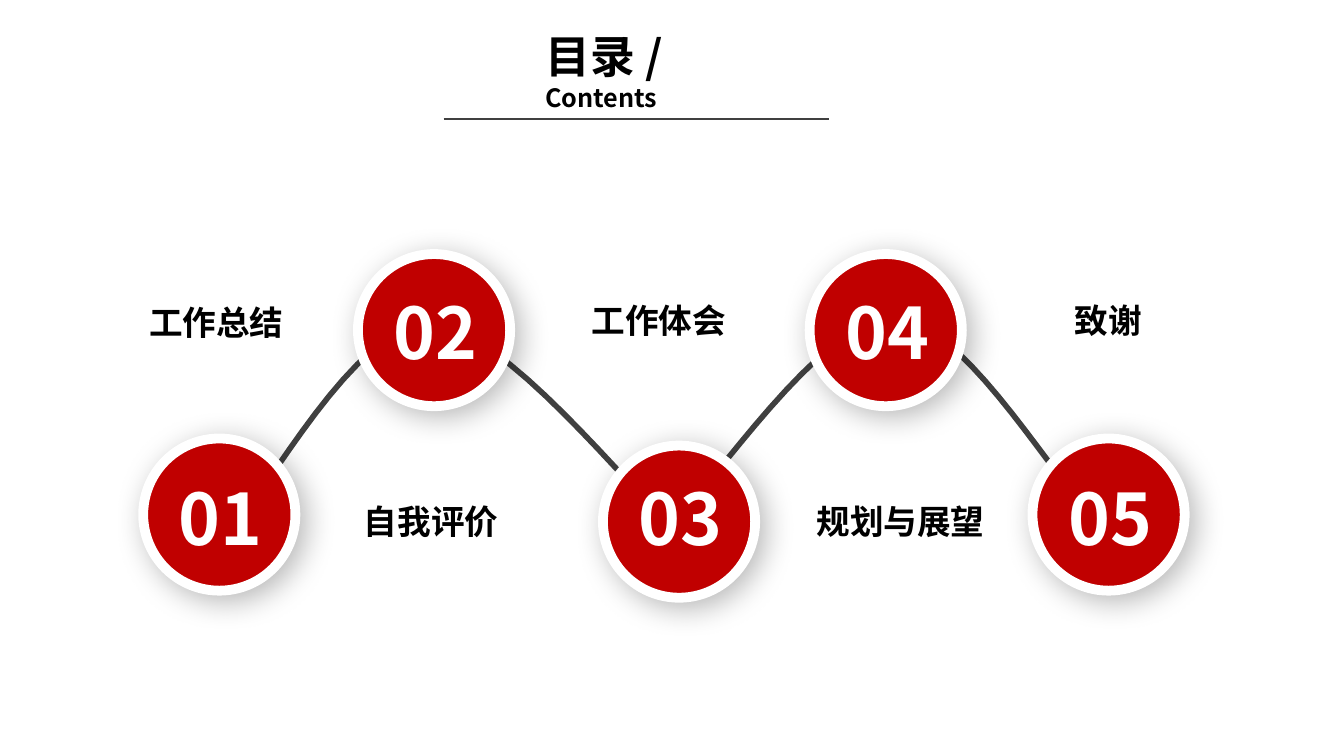
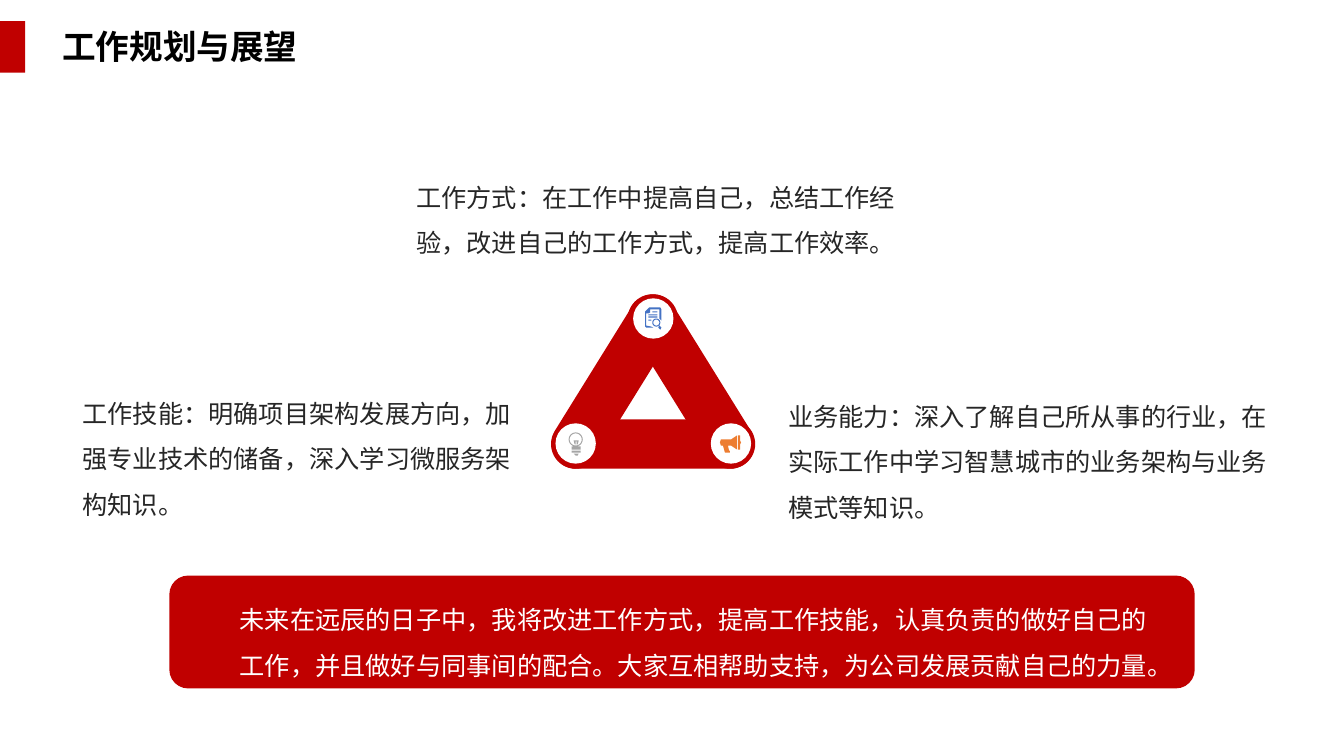
from math import cos, pi, sin

from lxml import etree
from pptx import Presentation
from pptx.dml.color import RGBColor
from pptx.enum.shapes import MSO_CONNECTOR, MSO_SHAPE
from pptx.enum.text import MSO_ANCHOR, MSO_AUTO_SIZE, PP_ALIGN
from pptx.oxml import parse_xml
from pptx.oxml.ns import nsdecls, qn
from pptx.util import Inches, Pt

OVAL, RECTANGLE, ROUNDED = MSO_SHAPE.OVAL, MSO_SHAPE.RECTANGLE, MSO_SHAPE.ROUNDED_RECTANGLE
STRAIGHT = MSO_CONNECTOR.STRAIGHT
GROW = MSO_AUTO_SIZE.SHAPE_TO_FIT_TEXT
MIDDLE, CENTER = MSO_ANCHOR.MIDDLE, PP_ALIGN.CENTER

FONT = "Noto Sans CJK SC"
COLORS = {
    "red": "C00000", "white": "FFFFFF", "black": "000000", "body": "262626",
    "path": "404040", "blue": "4472C4", "gray": "A5A5A5", "orange": "ED7D31",
}
HEADING = {"size": Pt(24), "bold": True}
BODY = {"size": Pt(18)}
NUMBER = {"size": Pt(50.7), "bold": True}
BODY_PARA = {"line_spacing": 1.5, "space_before": Pt(6), "space_after": Pt(6)}

STATION_SIZE = 1.51
STATIONS = [
    ("02", 3.55, 2.52, 2.81),
    ("03", 5.98, 4.42, 4.66),
    ("04", 8.03, 2.52, 2.81),
    ("05", 10.24, 4.35, 4.66),
    ("01", 1.42, 4.35, 4.66),
]
LABELS = [
    ("工作总结", 1.38, 2.95, 1.55),
    ("自我评价", 3.51, 4.92, 1.55),
    ("工作体会", 5.77, 2.93, 1.55),
    ("规划与展望", 8, 4.92, 1.88),
    ("致谢", 10.56, 2.93, 0.88),
]
WAVE_START = (2.31, 5.24)
WAVE_CURVES = [
    ((2.63, 4.91), (3.53, 3.21), (4.25, 3.21)),
    ((4.98, 3.21), (6.28, 4.91), (6.69, 5.24)),
    ((7.09, 5.57), (6.33, 5.53), (6.69, 5.18)),
    ((7.05, 4.83), (8.15, 3.18), (8.83, 3.15)),
    ((9.51, 3.13), (10.37, 4.64), (10.77, 5.03)),
]
PLANS = [
    ("工作方式：在工作中提高自己，总结工作经验，改进自己的工作方式，提高工作效率。",
     (4.03, 1.61, 5.06, 0.96)),
    ("工作技能：明确项目架构发展方向，加强专业技术的储备，深入学习微服务架构知识。",
     (0.72, 3.75, 4.61, 1.41)),
    ("业务能力：深入了解自己所从事的行业，在实际工作中学习智慧城市的业务架构与业务模式等知识。",
     (7.72, 3.78, 5.06, 1.41)),
]
CLOSING = ("未来在远辰的日子中，我将改进工作方式，提高工作技能，认真负责的做好自己的工作，"
           "并且做好与同事间的配合。大家互相帮助支持，为公司发展贡献自己的力量。")


def color(name):
    return RGBColor.from_string(COLORS[name])


def lengths(values):
    return [Inches(value) for value in values]


def set_all(target, values):
    for name, value in values.items():
        setattr(target, name, value)


def add_span(para, text, tone, style):
    span = para.add_run()
    span.text = text
    set_all(span.font, {"name": FONT, **style})
    span.font.color.rgb = color(tone)
    east_asian = etree.SubElement(span.font._element, qn("a:ea"))
    east_asian.set("typeface", FONT)


def add_text(shapes, box, text, tone, style, para_style=None, wrap=True):
    frame = shapes.add_textbox(*lengths(box)).text_frame
    set_all(frame, {"word_wrap": wrap, "auto_size": GROW})
    para = frame.paragraphs[0]
    set_all(para, para_style or {})
    add_span(para, text, tone, style)


def paint(shape, tone):
    shape.shadow.inherit = False
    shape.fill.solid()
    shape.fill.fore_color.rgb = color(tone)
    shape.line.fill.background()


def add_block(shapes, kind, box, tone):
    shape = shapes.add_shape(kind, *lengths(box))
    paint(shape, tone)
    return shape


def rectangle(left, top, right, bottom):
    return [(left, top), (right, top), (right, bottom), (left, bottom)]


def circle(x, y, radius, steps=24):
    angles = [2 * pi * step / steps for step in range(steps)]
    return [(x + radius * cos(angle), y + radius * sin(angle)) for angle in angles]


def curve_points(start, curves, steps=16):
    points = [start]
    for first, second, end in curves:
        for step in range(1, steps + 1):
            t = step / steps
            weights = ((1 - t) ** 3, 3 * t * (1 - t) ** 2, 3 * t * t * (1 - t), t ** 3)
            anchors = (start, first, second, end)
            points.append(tuple(
                sum(weight * anchor[axis] for weight, anchor in zip(weights, anchors))
                for axis in (0, 1)))
        start = end
    return points


def add_outline(shapes, contours, left=0, top=0, close=True):
    builder = None
    for contour in contours:
        points = [lengths((left + x, top + y)) for x, y in contour]
        if builder is None:
            builder = shapes.build_freeform(*points[0])
        else:
            builder.move_to(*points[0])
        builder.add_line_segments(points[1:], close=close)
    return builder.convert_to_shape()


ICONS = {
    "document": [
        [(0.16, 0.09), (0.27, 0.09), (0.28, 0.11), (0.28, 0.22), (0.26, 0.2), (0.26, 0.11),
         (0.17, 0.11), (0.17, 0.14), (0.15, 0.15), (0.13, 0.15), (0.13, 0.27), (0.18, 0.28),
         (0.2, 0.29), (0.13, 0.29), (0.12, 0.28), (0.12, 0.13)],
        rectangle(0.19, 0.13, 0.24, 0.14),
        rectangle(0.15, 0.16, 0.24, 0.17),
        rectangle(0.15, 0.18, 0.24, 0.19),
        rectangle(0.15, 0.21, 0.18, 0.22),
        circle(0.23, 0.24, 0.04),
        circle(0.23, 0.24, 0.03),
        [(0.25, 0.29), (0.27, 0.31), (0.28, 0.29), (0.26, 0.27)],
    ],
    "bulb": [
        circle(0.2, 0.16, 0.07),
        circle(0.2, 0.16, 0.06),
        [(0.18, 0.17), (0.23, 0.17), (0.22, 0.21), (0.19, 0.21)],
        rectangle(0.2, 0.18, 0.21, 0.21),
        rectangle(0.16, 0.23, 0.25, 0.26),
        rectangle(0.16, 0.27, 0.25, 0.29),
        [(0.18, 0.3), (0.23, 0.3), (0.22, 0.32), (0.2, 0.32)],
    ],
    "horn": [
        [(0.1, 0.16), (0.2, 0.16), (0.26, 0.12), (0.26, 0.26), (0.2, 0.22), (0.17, 0.22),
         (0.18, 0.27), (0.19, 0.27), (0.19, 0.29), (0.14, 0.29), (0.12, 0.22), (0.1, 0.22),
         (0.09, 0.19)],
        [(0.27, 0.12), (0.29, 0.12), (0.29, 0.17), (0.3, 0.19), (0.29, 0.21), (0.29, 0.26),
         (0.27, 0.26)],
    ],
}
BADGES = [
    ("document", "blue", 0.81, 0),
    ("bulb", "gray", 0.04, 1.24),
    ("horn", "orange", 1.58, 1.24),
]
BARS = [
    (0, 1.2, 2.02, 0),
    (0.41, 0.58, 1.95, 58.2),
    (-0.35, 0.58, 1.95, 301.8),
]


def add_soft_shadow(shape):
    effects = shape._element.spPr.find(qn("a:effectLst"))
    effects.append(parse_xml(
        f'<a:outerShdw {nsdecls("a")} blurRad="{Pt(22)}" dist="{Pt(6)}" dir="2700000" '
        f'algn="tl" rotWithShape="0"><a:srgbClr val="{COLORS["black"]}">'
        '<a:alpha val="28000"/></a:srgbClr></a:outerShdw>'))


def add_station(page, number, left, top, number_top):
    shapes = page.shapes.add_group_shape().shapes
    disc = add_block(shapes, OVAL, (left, top, STATION_SIZE, STATION_SIZE), "red")
    disc.line.color.rgb = color("white")
    disc.line.width = Pt(7)
    add_soft_shadow(disc)
    add_text(shapes, (left + 0.2, number_top, 1.14, 0.95), number, "white", NUMBER,
             {"alignment": CENTER})


def add_wave(page):
    wave = add_outline(page.shapes, [curve_points(WAVE_START, WAVE_CURVES)], close=False)
    wave.shadow.inherit = False
    wave.fill.background()
    wave.line.color.rgb = color("path")
    wave.line.width = Pt(4)


def add_contents_title(page, left, top):
    frame = page.shapes.add_textbox(*lengths((left, top, 2.47, 0.54))).text_frame
    set_all(frame, {"word_wrap": True, "vertical_anchor": MIDDLE})
    para = frame.paragraphs[0]
    add_span(para, "目录 /", "black", {"size": Pt(32), "bold": True})
    para.add_line_break()
    add_span(para, "Contents", "black", {"size": Pt(18), "bold": True})
    rule = page.shapes.add_connector(
        STRAIGHT, *lengths((left - 0.91, top + 0.75, left + 2.91, top + 0.75)))
    rule.line.color.rgb = color("path")
    rule.line.width = Pt(1)
    etree.SubElement(rule._element.spPr, qn("a:effectLst"))


def add_page_title(page, text, top):
    add_block(page.shapes, RECTANGLE, (0, top, 0.25, 0.51), "red")
    add_text(page.shapes, (0.52, top, 2.56, 0.5), text, "black", HEADING, wrap=False)


def add_closing(page, left, top):
    shapes = page.shapes.add_group_shape().shapes
    add_block(shapes, ROUNDED, (left, top, 10.17, 1.12), "red")
    add_text(shapes, (left + 0.6, top + 0.09, 9.2, 0.96), CLOSING, "white", BODY, BODY_PARA)


def add_triangle(page, left, top):
    shapes = page.shapes.add_group_shape().shapes
    for x, y, width, angle in BARS:
        bar = add_block(shapes, ROUNDED, (left + x, top + y, width, 0.49), "red")
        bar.adjustments[0] = 0.5
        bar.rotation = angle
    for icon, tone, x, y in BADGES:
        add_block(shapes, OVAL, (left + x, top + y, 0.4, 0.4), "white")
        paint(add_outline(shapes, ICONS[icon], left + x, top + y), tone)


def build_contents(page):
    add_wave(page)
    for station in STATIONS:
        add_station(page, *station)
    add_contents_title(page, 5.31, 0.43)
    for text, left, top, width in LABELS:
        add_text(page.shapes, (left, top, width, 0.5), text, "black", HEADING, wrap=False)


def build_plan(page):
    add_page_title(page, "工作规划与展望", 0.21)
    for text, box in PLANS:
        add_text(page.shapes, box, text, "body", BODY, BODY_PARA)
    add_closing(page, 1.68, 5.71)
    add_triangle(page, 5.47, 2.96)


def main():
    deck = Presentation()
    deck.slide_width, deck.slide_height = lengths((13.33, 7.5))
    for build in (build_contents, build_plan):
        build(deck.slides.add_slide(deck.slide_layouts[6]))
    deck.save("out.pptx")


if __name__ == "__main__":
    main()
